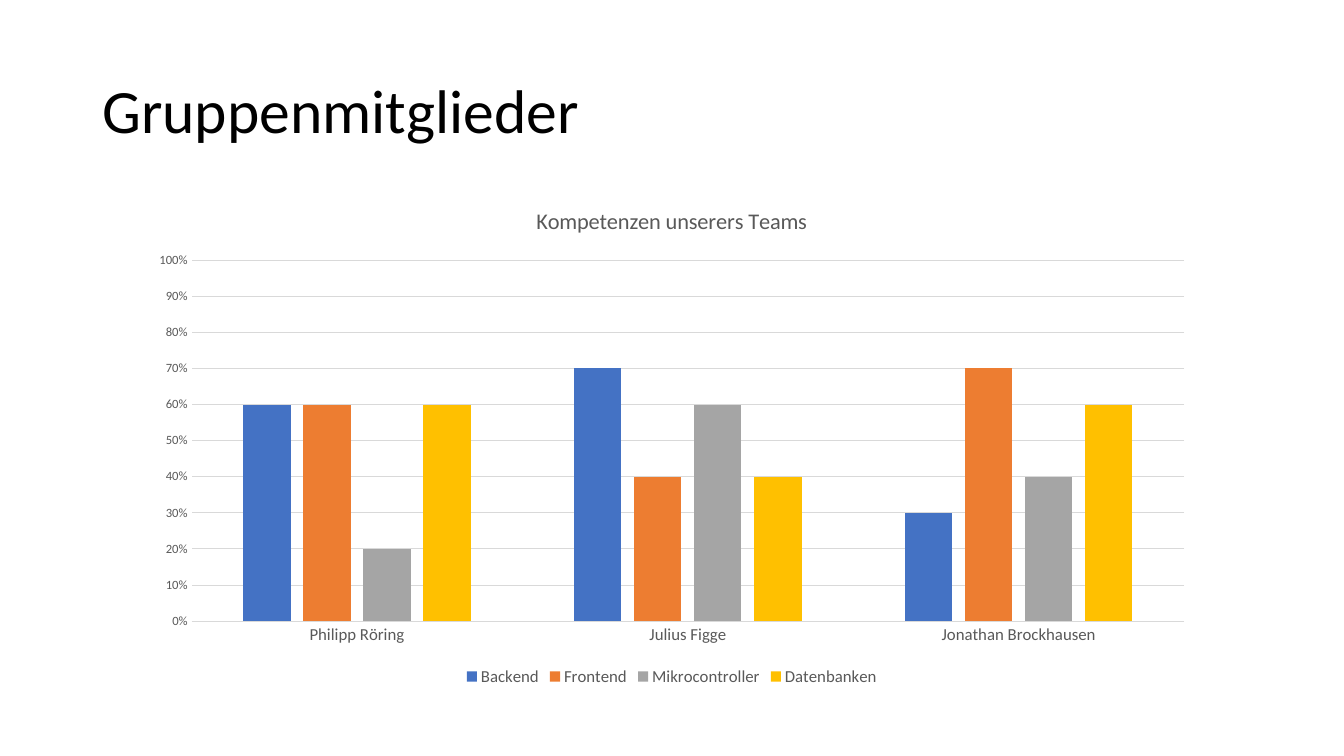
from pptx import Presentation
from pptx import util as u
from pptx.chart import data as chart_data
from pptx.dml import color
from pptx.enum import chart as ch, text

FONT = "Calibri"
TEXT_GREY, LINE_GREY = "595959", "D9D9D9"
MEMBERS = ["Philipp Röring", "Julius Figge", "Jonathan Brockhausen"]
SKILLS = [
    ("Backend", "4472C4", (0.6, 0.7, 0.3)),
    ("Frontend", "ED7D31", (0.6, 0.4, 0.7)),
    ("Mikrocontroller", "A5A5A5", (0.2, 0.6, 0.4)),
    ("Datenbanken", "FFC000", (0.6, 0.4, 0.6)),
]


def rgb(hex_code):
    """Turn a hex string into a colour."""
    return color.RGBColor.from_string(hex_code)


def style_font(font, size, hex_code):
    """Set typeface, size, weight and colour of a font."""
    font.name, font.size, font.bold = FONT, u.Pt(size), False
    font.color.rgb = rgb(hex_code)


def style_line(line):
    """Draw a thin light grey line."""
    line.color.rgb = rgb(LINE_GREY)
    line.width = u.Pt(0.75)


def add_heading(slide, wording):
    """Add the slide heading."""
    heading = slide.shapes.add_textbox(u.Cm(2.33), u.Cm(1.01), u.Cm(29.21), u.Cm(3.68))
    frame = heading.text_frame
    frame.word_wrap = True
    frame.vertical_anchor = text.MSO_ANCHOR.MIDDLE
    frame.text = wording
    paragraph = frame.paragraphs[0]
    paragraph.line_spacing = 0.9
    style_font(paragraph.runs[0].font, 44, "000000")


def style_axes(chart):
    """Format the member axis and the percentage axis."""
    members, share = chart.category_axis, chart.value_axis
    for axis, size in ((members, 12), (share, 9)):
        axis.major_tick_mark = axis.minor_tick_mark = ch.XL_TICK_MARK.NONE
        style_font(axis.tick_labels.font, size, TEXT_GREY)
    style_line(members.format.line)
    share.minimum_scale, share.maximum_scale, share.major_unit = 0, 1, 0.1
    share.tick_labels.number_format = "0%"
    share.tick_labels.number_format_is_linked = False
    share.format.line.fill.background()
    style_line(share.major_gridlines.format.line)


def add_skill_chart(slide, title):
    """Add the column chart of skills per member."""
    skills = chart_data.CategoryChartData(number_format="0%")
    skills.categories = MEMBERS
    for name, _, shares in SKILLS:
        skills.add_series(name, shares)
    chart = slide.shapes.add_chart(
        ch.XL_CHART_TYPE.COLUMN_CLUSTERED,
        u.Cm(3.48), u.Cm(4.7), u.Cm(26.9), u.Cm(12.7), skills,
    ).chart
    style_font(chart.font, 10, "000000")

    chart.has_title = True
    title_frame = chart.chart_title.text_frame
    title_frame.text = title
    style_font(title_frame.paragraphs[0].runs[0].font, 16, TEXT_GREY)
    chart.chart_title.include_in_layout = False

    chart.has_legend = True
    chart.legend.position = ch.XL_LEGEND_POSITION.BOTTOM
    chart.legend.include_in_layout = False
    style_font(chart.legend.font, 12, TEXT_GREY)

    style_axes(chart)
    columns = chart.plots[0]
    columns.gap_width, columns.overlap = 219, -27
    columns.vary_by_categories = False
    for series, (_, hex_code, _) in zip(columns.series, SKILLS):
        series.format.fill.solid()
        series.format.fill.fore_color.rgb = rgb(hex_code)


def main():
    """Build and save the slide."""
    deck = Presentation()
    deck.slide_width, deck.slide_height = u.Cm(33.87), u.Cm(19.05)
    slide = deck.slides.add_slide(deck.slide_layouts[6])
    add_heading(slide, "Gruppenmitglieder")
    add_skill_chart(slide, "Kompetenzen unserers Teams")
    deck.save("out.pptx")


main()
